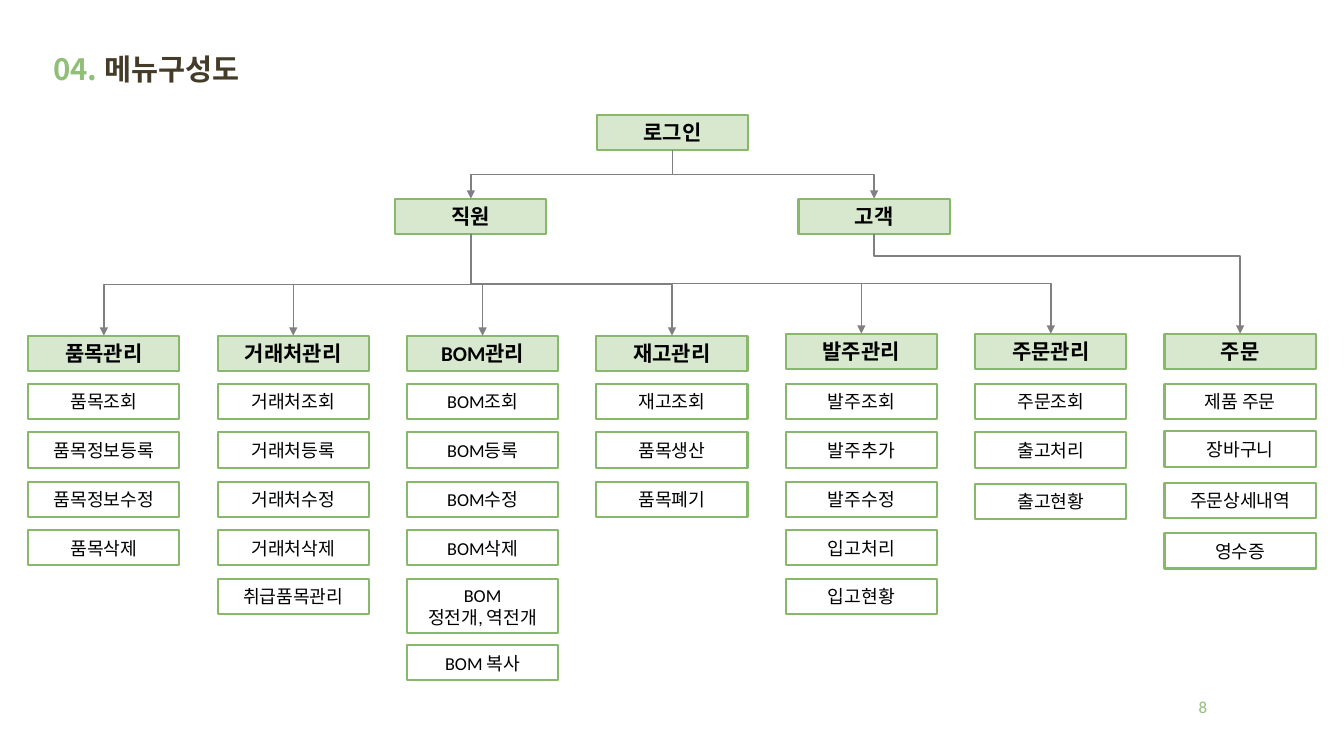
from lxml.etree import SubElement
from pptx import Presentation
from pptx.dml.color import RGBColor
from pptx.enum.shapes import MSO_CONNECTOR as CONN, MSO_SHAPE as SHAPE
from pptx.enum.text import MSO_ANCHOR as ANCHOR, PP_ALIGN as ALIGN
from pptx.oxml.ns import qn
from pptx.util import Inches, Pt

COLORS = {"accent": "91BE78", "title": "443C29", "header": "D7E8CE",
          "border": "87B86C", "line": "808080", "text": "000000"}
LATIN, KOREAN = "Calibri", "Noto Sans CJK KR"
BOX_W, BOX_H, TALL_H = 1.5, 0.35, 0.54
LEFT, PITCH = 0.28, (11.55 - 0.28) / 6
ROWS = (3.81, 4.29, 4.78, 5.26, 5.74, 6.4)
ORDER_ROWS = (3.81, 4.29, 4.8)
SHOP_ROWS = (3.81, 4.28, 4.79, 5.29)
LOGIN, STAFF, CUSTOMER = (5.92, 1.14), (3.92, 1.97), (7.92, 1.97)

MENUS = [
    ("품목관리", 3.33, ROWS, ["품목조회", "품목정보등록", "품목정보수정", "품목삭제"]),
    ("거래처관리", 3.33, ROWS,
     ["거래처조회", "거래처등록", "거래처수정", "거래처삭제", "취급품목관리"]),
    ("BOM관리", 3.33, ROWS,
     ["BOM조회", "BOM등록", "BOM수정", "BOM삭제", "BOM\n정전개, 역전개", "BOM 복사"]),
    ("재고관리", 3.33, ROWS, ["재고조회", "품목생산", "품목폐기"]),
    ("발주관리", 3.31, ROWS, ["발주조회", "발주추가", "발주수정", "입고처리", "입고현황"]),
    ("주문관리", 3.31, ORDER_ROWS, ["주문조회", "출고처리", "출고현황"]),
    ("주문", 3.31, SHOP_ROWS, ["제품 주문", "장바구니", "주문상세내역", "영수증"]),
]


class MenuChart:
    """Draws menu boxes, elbow arrows and labels on one slide."""

    def __init__(self, slide):
        self.s = slide

    def color(self, name):
        return RGBColor.from_string(COLORS[name])

    def run(self, p, text, size, color="text", bold=False, latin=LATIN):
        r = p.add_run()
        r.text = text
        r.font.size = Pt(size)
        r.font.bold = bold
        r.font.color.rgb = self.color(color)
        r.font.name = latin
        SubElement(r.font._element, qn("a:ea"), typeface=KOREAN)

    def label(self, left, top, width, height, align=ALIGN.LEFT):
        sp = self.s.shapes.add_textbox(*map(Inches, (left, top, width, height)))
        tf = sp.text_frame
        tf.word_wrap = True
        tf.vertical_anchor = ANCHOR.MIDDLE
        p = tf.paragraphs[0]
        p.alignment = align
        return p

    def box(self, text, left, top, header=False):
        lines = text.split("\n")
        height = TALL_H if len(lines) > 1 else BOX_H
        sp = self.s.shapes.add_shape(
            SHAPE.RECTANGLE, *map(Inches, (left, top, BOX_W, height)))
        sp.shadow.inherit = False
        if header:
            sp.fill.solid()
            sp.fill.fore_color.rgb = self.color("header")
        else:
            sp.fill.background()
        sp.line.color.rgb = self.color("border")
        sp.line.width = Pt(1.5)
        tf = sp.text_frame
        tf.word_wrap = True
        tf.vertical_anchor = ANCHOR.MIDDLE
        for i, line in enumerate(lines):
            p = tf.add_paragraph() if i else tf.paragraphs[0]
            p.alignment = ALIGN.CENTER
            self.run(p, line, 15 if header else 13, bold=header)

    def arrow(self, parent, child, bend=0.5):
        x1, y1 = parent[0] + BOX_W / 2, parent[1] + BOX_H
        x2, y2 = child[0] + BOX_W / 2, child[1]
        cx, cy = (x1 + x2) / 2, (y1 + y2) / 2
        half_w, half_h = (y2 - y1) / 2, abs(x2 - x1) / 2
        ends = (cx - half_w, cy - half_h, cx + half_w, cy + half_h)
        cxn = self.s.shapes.add_connector(CONN.ELBOW, *map(Inches, ends))
        cxn.line.color.rgb = self.color("line")
        cxn.line.width = Pt(1)
        sp_pr = cxn._element.spPr
        xfrm = sp_pr.find(qn("a:xfrm"))
        xfrm.set("rot", "5400000" if x2 < x1 else "16200000")
        if x2 > x1:
            xfrm.set("flipH", "1")
        guides = sp_pr.find(qn("a:prstGeom")).find(qn("a:avLst"))
        SubElement(guides, qn("a:gd"), name="adj1", fmla=f"val {round(bend * 100000)}")
        SubElement(sp_pr.find(qn("a:ln")), qn("a:tailEnd"), type="triangle")
        SubElement(sp_pr, qn("a:effectLst"))


def main():
    prs = Presentation()
    prs.slide_width, prs.slide_height = Inches(13.33), Inches(7.5)
    chart = MenuChart(prs.slides.add_slide(prs.slide_layouts[6]))

    title = chart.label(0.43, 0.38, 4.36, 0.64)
    title.line_spacing = 0.9
    chart.run(title, "04. ", 21, "accent", True, KOREAN)
    chart.run(title, "메뉴구성도", 21, "title", True, KOREAN)

    for text, spot in (("로그인", LOGIN), ("직원", STAFF), ("고객", CUSTOMER)):
        chart.box(text, *spot, header=True)
    for role in (STAFF, CUSTOMER):
        chart.arrow(LOGIN, role)

    for i, (name, top, rows, items) in enumerate(MENUS):
        left = LEFT + i * PITCH
        chart.box(name, left, top, header=True)
        for item, row in zip(items, rows):
            chart.box(item, left, row)
        if name == "주문":
            chart.arrow(CUSTOMER, (left, top), bend=0.22)
        else:
            chart.arrow(STAFF, (left, top))

    number = chart.label(10.2, 6.81, 1.87, 0.4, ALIGN.RIGHT)
    chart.run(number, "8", 12, "accent")
    prs.save("out.pptx")


if __name__ == "__main__":
    main()
